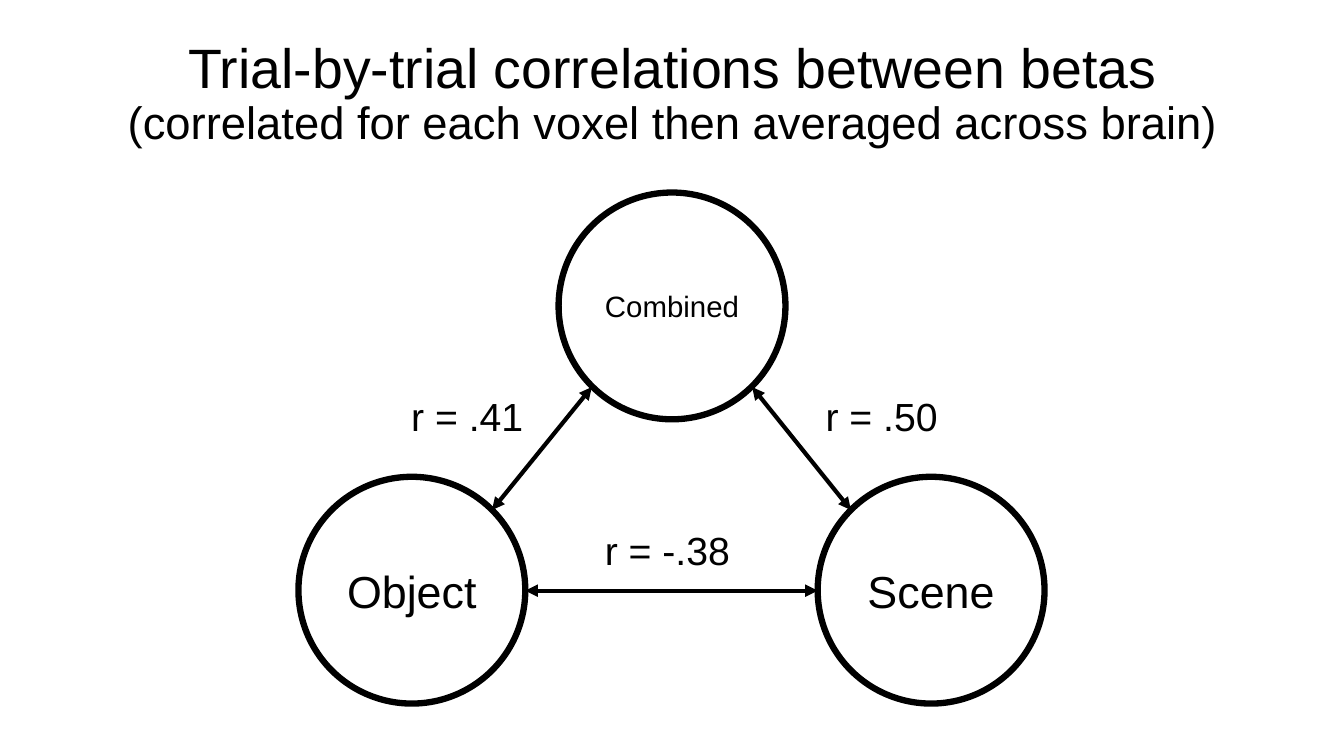
"""Build a slide showing trial-by-trial correlations between three conditions."""
from lxml import etree
from pptx import Presentation
from pptx.dml.color import RGBColor
from pptx.enum.shapes import MSO_CONNECTOR, MSO_SHAPE
from pptx.enum.text import MSO_ANCHOR, MSO_AUTO_SIZE, PP_ALIGN
from pptx.oxml.ns import qn
from pptx.util import Inches, Pt

COLORS = {"ink": "000000", "paper": "FFFFFF"}
FONT = "Arial"
DIAMETER = 2.25
TITLE = [
    ("Trial-by-trial correlations between betas ", 39.6),
    ("(correlated for each voxel then averaged across brain)", 32.4),
]
CONDITIONS = [
    ("Object", 2.96, 4.73, 32),
    ("Combined", 5.54, 1.91, 21),
    ("Scene", 8.11, 4.73, 32),
]
ARROWS = [
    (5.87, 3.84, 4.88, 5.06),
    (7.46, 3.84, 8.44, 5.06),
    (8.11, 5.86, 5.21, 5.86),
]
CORRELATIONS = [
    ("r = -.38", 5.9, 5.17, 1.57),
    ("r = .41", 3.98, 3.84, 1.44),
    ("r = .50", 8.09, 3.84, 1.33),
]


def color(name):
    """Return the named colour."""
    return RGBColor.from_string(COLORS[name])


def style_font(font, size):
    """Set the typeface, size and colour of a font."""
    font.name = FONT
    font.size = Pt(size)
    font.color.rgb = color("ink")


def set_title(s):
    """Place and fill the slide title."""
    title = s.shapes.title
    title.left, title.top = Inches(0.92), Inches(0.4)
    title.width, title.height = Inches(11.5), Inches(1.08)
    tf = title.text_frame
    tf.word_wrap = True
    tf.auto_size = MSO_AUTO_SIZE.NONE
    tf.vertical_anchor = MSO_ANCHOR.MIDDLE
    p = tf.paragraphs[0]
    p.alignment = PP_ALIGN.CENTER
    p.line_spacing = 0.9
    for text, size in TITLE:
        r = p.add_run()
        r.text = text
        style_font(r.font, size)


def add_condition(s, name, left, top, size):
    """Add a labelled circle."""
    sp = s.shapes.add_shape(MSO_SHAPE.OVAL, Inches(left), Inches(top),
                            Inches(DIAMETER), Inches(DIAMETER))
    sp.shadow.inherit = False
    sp.fill.solid()
    sp.fill.fore_color.rgb = color("paper")
    sp.line.color.rgb = color("ink")
    sp.line.width = Pt(4.5)
    tf = sp.text_frame
    tf.vertical_anchor = MSO_ANCHOR.MIDDLE
    p = tf.paragraphs[0]
    p.text = name
    p.alignment = PP_ALIGN.CENTER
    style_font(p.font, size)


def add_arrow(s, x1, y1, x2, y2):
    """Add a double-headed arrow."""
    cxn = s.shapes.add_connector(MSO_CONNECTOR.STRAIGHT, Inches(x1), Inches(y1),
                                 Inches(x2), Inches(y2))
    cxn.line.color.rgb = color("ink")
    cxn.line.width = Pt(3)
    ln = cxn.line._get_or_add_ln()
    for end in ("a:headEnd", "a:tailEnd"):
        etree.SubElement(ln, qn(end), type="triangle")
    etree.SubElement(cxn._element.spPr, qn("a:effectLst"))


def add_correlation(s, text, left, top, width):
    """Add the correlation value beside an arrow."""
    tb = s.shapes.add_textbox(Inches(left), Inches(top), Inches(width), Inches(0.57))
    tf = tb.text_frame
    tf.word_wrap = False
    tf.auto_size = MSO_AUTO_SIZE.SHAPE_TO_FIT_TEXT
    p = tf.paragraphs[0]
    p.text = text
    style_font(p.font, 28)


def main():
    """Build and save the presentation."""
    prs = Presentation()
    prs.slide_width, prs.slide_height = Inches(13.33), Inches(7.5)
    s = prs.slides.add_slide(prs.slide_layouts[5])
    set_title(s)
    for condition in CONDITIONS:
        add_condition(s, *condition)
    for arrow in ARROWS:
        add_arrow(s, *arrow)
    for correlation in CORRELATIONS:
        add_correlation(s, *correlation)
    prs.save("out.pptx")


if __name__ == "__main__":
    main()
